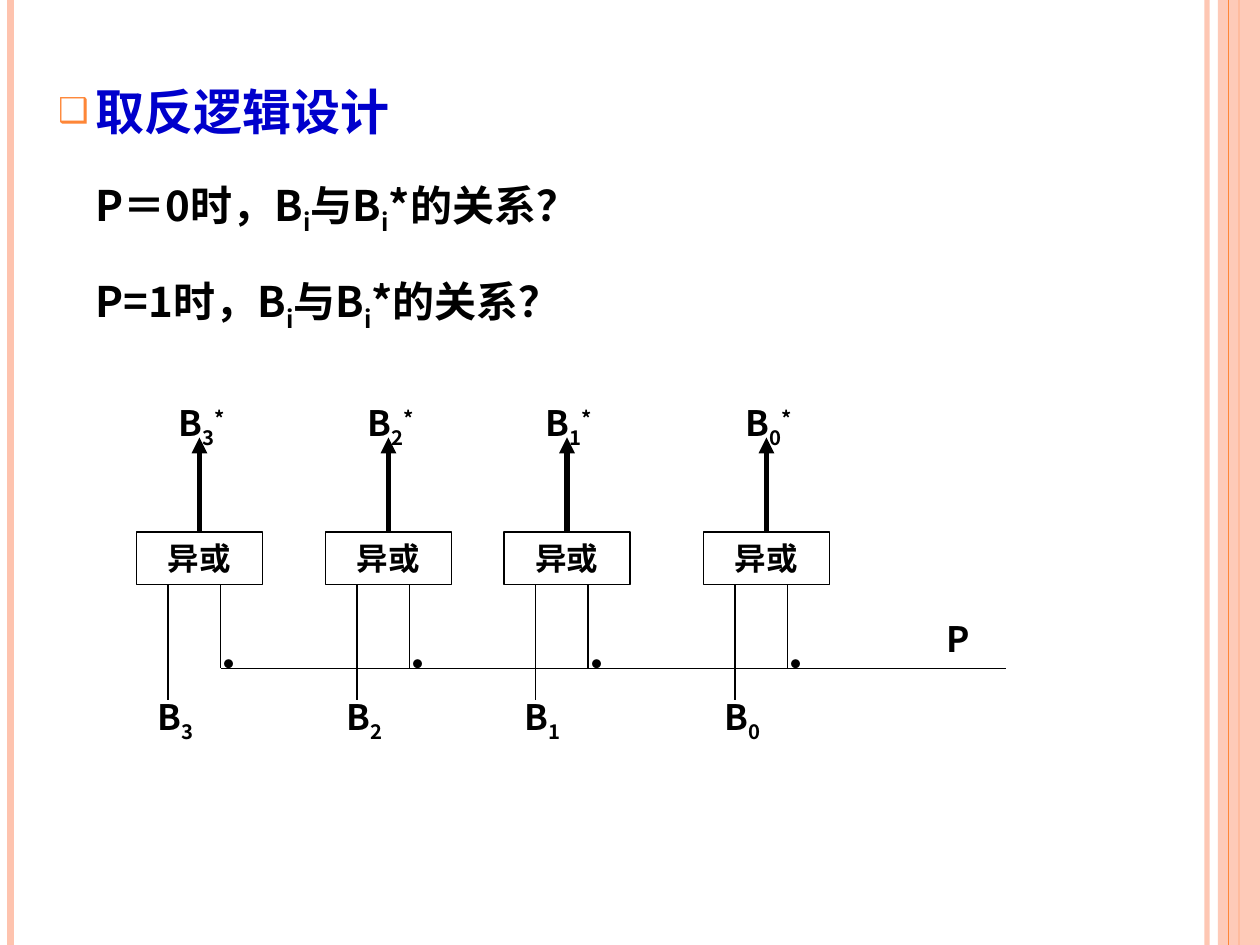
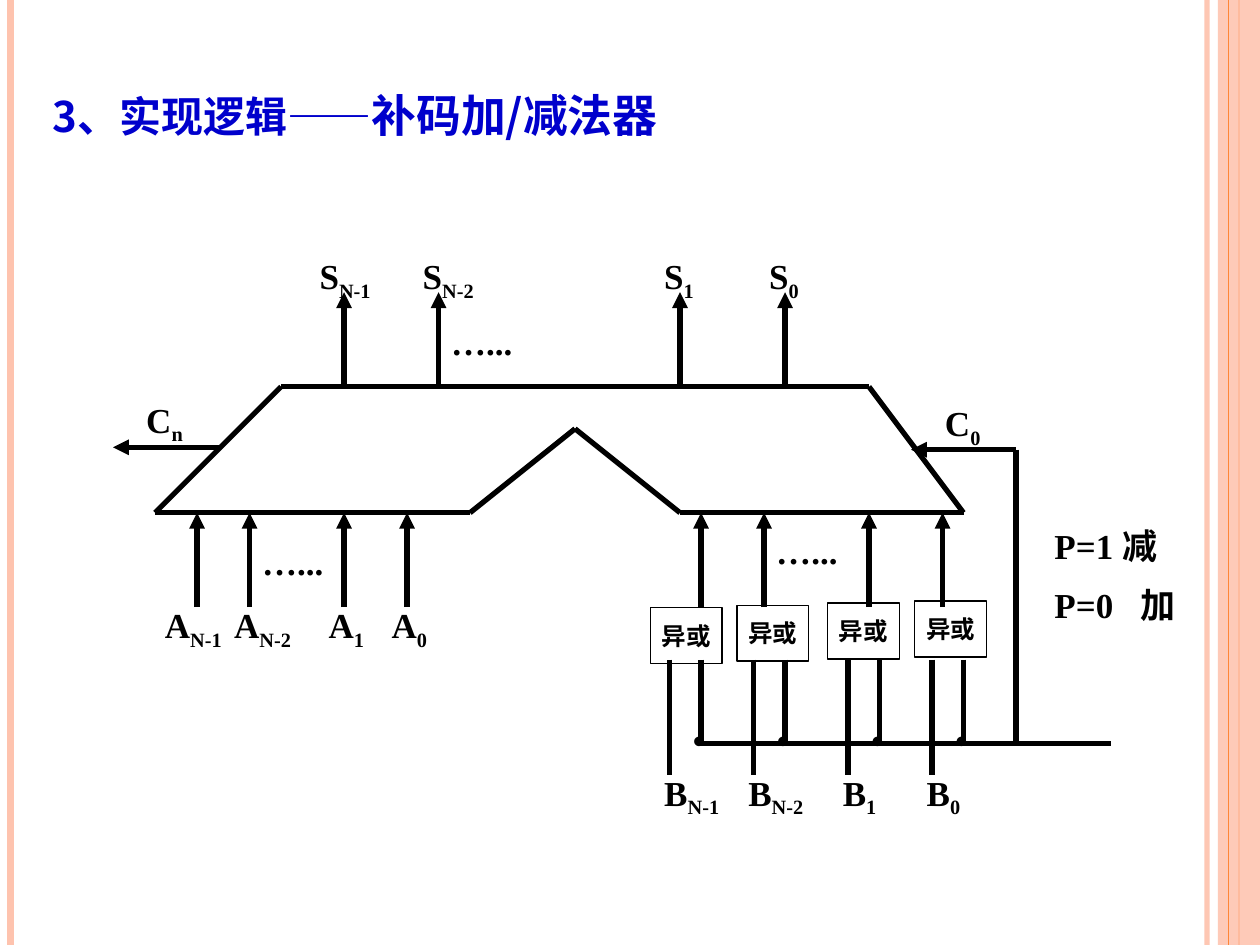
from itertools import pairwise

from lxml.etree import SubElement
from pptx import Presentation
from pptx.dml.color import RGBColor
from pptx.enum.shapes import MSO_CONNECTOR, MSO_SHAPE
from pptx.enum.text import MSO_ANCHOR, MSO_AUTO_SIZE, PP_ALIGN
from pptx.oxml.ns import qn
from pptx.util import Pt

BLACK = RGBColor(0x00, 0x00, 0x00)
BLUE = RGBColor(0x00, 0x00, 0xCC)
ORANGE = RGBColor(0xFE, 0x86, 0x37)
PEACH = RGBColor(0xFE, 0xC3, 0xAE)

SANS = "Noto Sans CJK SC"
SERIF = "Times New Roman"
SUBSCRIPT, SUPERSCRIPT = -25000, 30000

SLIDE_WIDTH, SLIDE_HEIGHT = 720, 540
THIN, THICK = 0.75, 3


# Shared text and drawing helpers
def write_runs(paragraph, pieces, size, color=BLACK, font_name=SANS):
    """Fill a paragraph from (text, baseline) pieces."""
    for text, baseline in pieces:
        run = paragraph.add_run()
        run.text = text
        font = run.font
        font.size, font.bold, font.name = Pt(size), True, font_name
        font.color.rgb = color
        properties = run._r.get_or_add_rPr()
        SubElement(properties, qn("a:ea"), typeface=SANS)
        if baseline:
            properties.set("baseline", str(baseline))


def clear_margins(text_frame):
    text_frame.margin_left = text_frame.margin_right = 0
    text_frame.margin_top = text_frame.margin_bottom = 0
    text_frame.word_wrap = True


def add_label(slide, left, top, text, subscript="", superscript="", font_name=SANS):
    box = slide.shapes.add_textbox(Pt(left), Pt(top), Pt(72), Pt(24))
    clear_margins(box.text_frame)
    pieces = [(text, 0), (subscript, SUBSCRIPT), (superscript, SUPERSCRIPT)]
    write_runs(box.text_frame.paragraphs[0], [piece for piece in pieces if piece[0]],
               20, font_name=font_name)
    return box


def add_wire(slide, start, end, width, color=BLACK, arrow=False):
    wire = slide.shapes.add_connector(
        MSO_CONNECTOR.STRAIGHT, *(Pt(value) for value in (*start, *end)))
    wire.line.color.rgb = color
    wire.line.width = Pt(width)
    if arrow:
        SubElement(wire.line._get_or_add_ln(), qn("a:tailEnd"), type="triangle")
    SubElement(wire._element.spPr, qn("a:effectLst"))
    return wire


def add_gate(slide, left, top, width, height, size, font_name):
    gate = slide.shapes.add_shape(
        MSO_SHAPE.RECTANGLE, Pt(left), Pt(top), Pt(width), Pt(height))
    gate.shadow.inherit = False
    gate.fill.background()
    gate.line.color.rgb = BLACK
    gate.line.width = Pt(THIN)
    clear_margins(gate.text_frame)
    gate.text_frame.vertical_anchor = MSO_ANCHOR.MIDDLE
    paragraph = gate.text_frame.paragraphs[0]
    paragraph.alignment = PP_ALIGN.CENTER
    write_runs(paragraph, [("异或", 0)], size, font_name=font_name)
    return gate


def set_alpha(element, percent):
    color = next(element.iter(qn("a:srgbClr")))
    SubElement(color, qn("a:alpha"), val=str(percent * 1000))


def place(shape, left, top, width, height):
    shape.left, shape.top = Pt(left), Pt(top)
    shape.width, shape.height = Pt(width), Pt(height)


def add_side_bands(slide):
    """Vertical stripes on both edges."""
    def stripe(x, width, color):
        return add_wire(slide, (x, 0), (x, SLIDE_HEIGHT), width, color)

    set_alpha(stripe(689.8, 3, PEACH)._element, 93)
    stripe(6, 4.5, PEACH)
    stripe(708, 1.5, ORANGE)
    band = slide.shapes.add_shape(
        MSO_SHAPE.RECTANGLE, Pt(696), 0, Pt(24), Pt(SLIDE_HEIGHT))
    band.shadow.inherit = False
    band.fill.solid()
    band.fill.fore_color.rgb = PEACH
    set_alpha(band._element, 87)
    band.line.fill.background()
    stripe(702, 0.75, ORANGE)


# Inverting logic slide
def fill_questions(body, left, top, width, height):
    place(body, left, top, width, height)
    text_frame = body.text_frame
    text_frame.auto_size = MSO_AUTO_SIZE.NONE
    relation = [("i", SUBSCRIPT), ("与B", 0), ("i", SUBSCRIPT), ("*的关系？", 0)]
    lines = [
        ([("取反逻辑设计", 0)], 28, BLUE),
        ([("P＝0时，B", 0), *relation], 24, BLACK),
        ([("P=1时，B", 0), *relation], 24, BLACK),
    ]
    for index, (pieces, size, color) in enumerate(lines):
        paragraph = text_frame.add_paragraph() if index else text_frame.paragraphs[0]
        properties = paragraph._p.get_or_add_pPr()
        properties.set("marL", str(Pt(21.6)))
        properties.set("indent", str(0 if index else -Pt(21.6)))
        if index:
            SubElement(properties, qn("a:buNone"))
        else:
            bullet_color = SubElement(properties, qn("a:buClr"))
            SubElement(bullet_color, qn("a:srgbClr"), val=str(ORANGE))
            SubElement(properties, qn("a:buSzPct"), val="70000")
            SubElement(properties, qn("a:buChar"), char="❑")
        paragraph.line_spacing = 1.5
        paragraph.space_before = Pt(6 if index else 0)
        write_runs(paragraph, pieces, size, color)


def add_inverter_cell(slide, center, top, bus_y, digit):
    """One gate with its output arrow, data input and control input."""
    bottom = top + 30
    gate = add_gate(slide, center - 36, top, 72, 30, 18, SANS)
    output = add_wire(slide, (center, top), (center, top - 54), THICK, arrow=True)
    output.begin_connect(gate, 0)
    add_wire(slide, (center - 18, bottom), (center - 18, bus_y + 18), THIN)
    add_wire(slide, (center + 12, bottom), (center + 12, bus_y), THIN)
    add_label(slide, center + 7, bus_y - 14.8, "•")
    add_label(slide, center - 24, bus_y + 15.4, "B", digit)
    add_label(slide, center - 12, top - 74.3, "B", digit, "*")


def add_inverter_diagram(slide, left, top):
    bus_y = top + 78
    for offset, digit in zip((36, 144, 246, 360), "3210"):
        add_inverter_cell(slide, left + offset, top, bus_y, digit)
    add_wire(slide, (left + 48, bus_y), (left + 497, bus_y), THIN)
    add_label(slide, left + 462.7, bus_y - 29.2, "P")


def build_inverting_slide(presentation):
    slide = presentation.slides.add_slide(presentation.slide_layouts[1])
    title = slide.shapes.title._element
    title.getparent().remove(title)
    add_side_bands(slide)
    fill_questions(slide.placeholders[1], 26, 26, 618.5, 153.4)
    add_inverter_diagram(slide, 78, 304)


# Adder/subtractor slide
def fill_title(title, left, top, width, height):
    place(title, left, top, width, height)
    text_frame = title.text_frame
    text_frame.auto_size = MSO_AUTO_SIZE.NONE
    text_frame.vertical_anchor = MSO_ANCHOR.BOTTOM
    paragraph = text_frame.paragraphs[0]
    paragraph.alignment = PP_ALIGN.LEFT
    write_runs(paragraph, [("3、实现逻辑——", 0)], 30, BLUE)
    write_runs(paragraph, [("补码加/减法器", 0)], 32, BLUE)
    for run in paragraph.runs:
        run._r.get_or_add_rPr().set("cap", "small")


def add_mode_note(slide, left, top):
    note = add_label(slide, left, top, "P=1 减", font_name=SERIF)
    note.width, note.height = Pt(86), Pt(60)
    paragraph = note.text_frame.add_paragraph()
    tabs = SubElement(paragraph._p.get_or_add_pPr(), qn("a:tabLst"))
    SubElement(tabs, qn("a:tab"), pos=str(Pt(49)), algn="l")
    paragraph.space_before = Pt(10)
    write_runs(paragraph, [("P=0\t加", 0)], 20, font_name=SERIF)


def add_adder_diagram(slide, left, top):
    """Adder block; all places below are measured from its top left corner."""
    indices = ("N-1", "N-2", "1", "0")

    def wire(start, end, arrow=False):
        (x1, y1), (x2, y2) = start, end
        add_wire(slide, (left + x1, top + y1), (left + x2, top + y2), THICK, arrow=arrow)

    def label(x, y, text, subscript=""):
        add_label(slide, left + x, top + y, text, subscript, font_name=SERIF)

    # Adder outline
    corners = [(72, 0), (408, 0), (462, 72), (300, 72), (240, 24), (180, 72), (0, 72)]
    for start, end in pairwise(corners + corners[:1]):
        wire(start, end)

    # Sum outputs
    for x, label_x, index in zip((108, 162, 300, 360), (94, 153, 291, 351), indices):
        wire((x, 0), (x, -54), arrow=True)
        label(label_x, -75.6, "S", index)

    # First operand
    for x, label_x, index in zip((24, 54, 108, 144), (5.6, 45.2, 99.2, 135.2), indices):
        wire((x, 126), (x, 72), arrow=True)
        label(label_x, 123.8, "A", index)

    # Second operand through the gates
    gate_lefts = (283, 332.6, 384.4, 434.2)
    carry_xs = (312, 348, 408, 450)
    mode_xs = (312, 360, 414, 462)
    columns = zip(gate_lefts, carry_xs, mode_xs, indices)
    for column, (gate_left, carry_x, mode_x, index) in enumerate(columns):
        add_gate(slide, left + gate_left, top + 126 - 1.2 * column, 41, 32, 14, SERIF)
        wire((carry_x, 126), (carry_x, 72), arrow=True)
        wire((mode_x, 156), (mode_x, 204))
        wire((mode_x - 18, 156), (mode_x - 18, 222))
        label(mode_x - 4.6, 189.4, "•")
        label(mode_x - 21, 219.6, "B", index)

    # Carries and control line
    wire((37, 34.6), (-24, 34.6), arrow=True)
    label(-5, 6.5, "C", "n")
    wire((492, 36), (432, 36), arrow=True)
    label(451.4, 8.7, "C", "0")
    wire((492, 36), (492, 204))
    wire((311, 204), (546, 204))

    # Omitted bits
    for x, y in ((169.2, -38), (61.2, 88), (355, 81.4)):
        label(x, y, "…...")
    add_mode_note(slide, left + 514, top + 78.5)


def build_adder_slide(presentation):
    slide = presentation.slides.add_slide(presentation.slide_layouts[5])
    add_side_bands(slide)
    fill_title(slide.shapes.title, 23, 26, 643, 60)
    add_adder_diagram(slide, 88.6, 221)


def main():
    presentation = Presentation()
    presentation.slide_width = Pt(SLIDE_WIDTH)
    presentation.slide_height = Pt(SLIDE_HEIGHT)
    build_inverting_slide(presentation)
    build_adder_slide(presentation)
    presentation.save("out.pptx")


if __name__ == "__main__":
    main()
